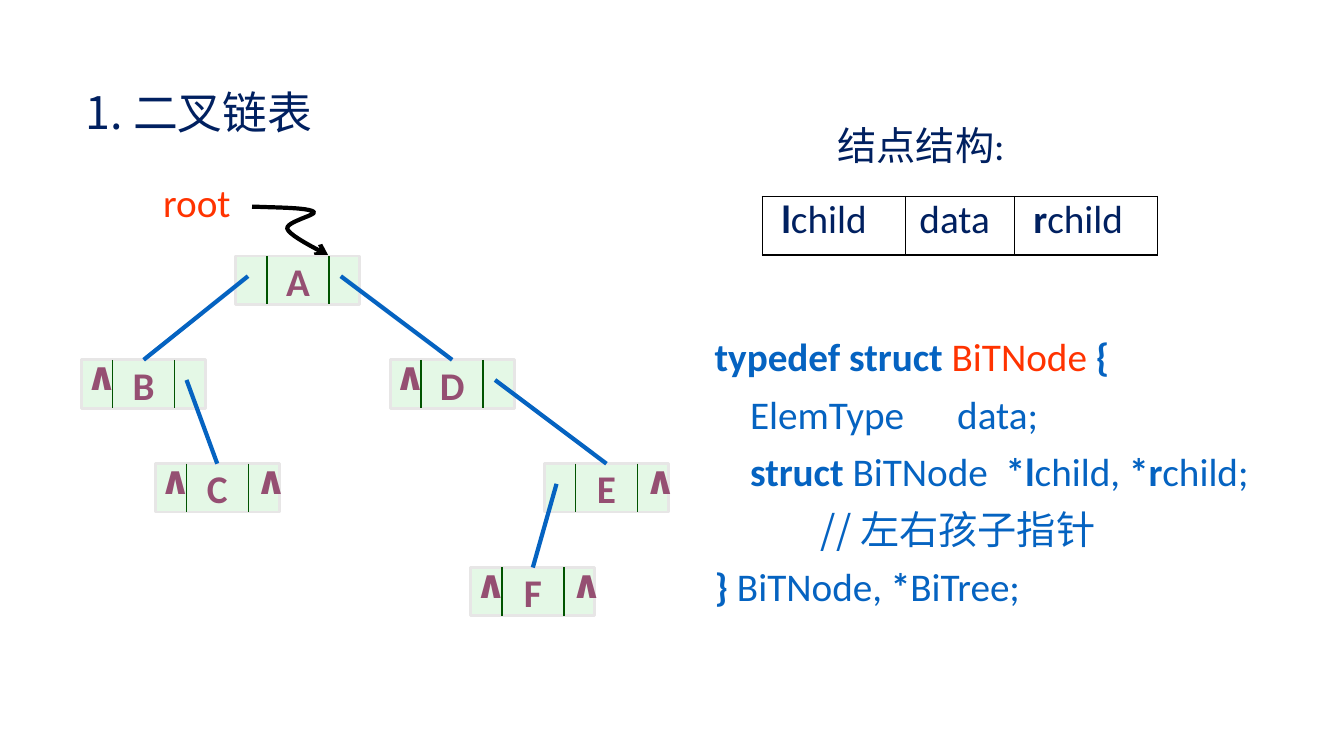
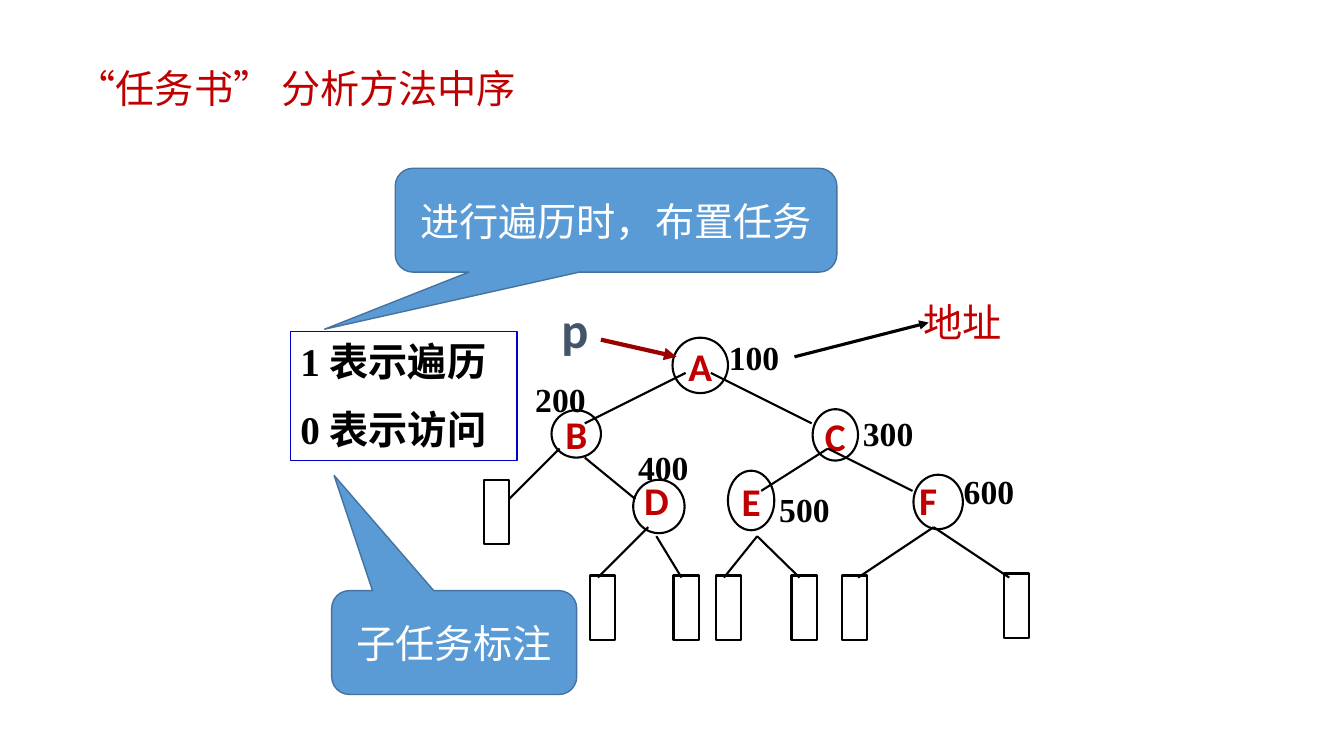
from pptx import Presentation
from pptx.dml.color import RGBColor
from pptx.enum.shapes import MSO_CONNECTOR, MSO_SHAPE
from pptx.enum.text import MSO_ANCHOR, MSO_AUTO_SIZE, PP_ALIGN
from pptx.oxml.ns import qn
from pptx.util import Inches, Pt
from lxml import etree

LEFT, MID = PP_ALIGN.LEFT, PP_ALIGN.CENTER
TOP, CENTER = MSO_ANCHOR.TOP, MSO_ANCHOR.MIDDLE
RECT, OVAL = MSO_SHAPE.RECTANGLE, MSO_SHAPE.OVAL
BUBBLE = MSO_SHAPE.ROUNDED_RECTANGULAR_CALLOUT
STRAIGHT = MSO_CONNECTOR.STRAIGHT

BLACK = RGBColor(0x00, 0x00, 0x00)
WHITE = RGBColor(0xFF, 0xFF, 0xFF)
NAVY = RGBColor(0x00, 0x20, 0x60)
BLUE = RGBColor(0x05, 0x63, 0xC1)
ORANGE = RGBColor(0xFF, 0x33, 0x00)
PLUM = RGBColor(0x95, 0x4F, 0x72)
MINT = RGBColor(0xCA, 0xF2, 0xCE)
GREY = RGBColor(0xE7, 0xE6, 0xE6)
GREEN = RGBColor(0x00, 0x54, 0x00)
RED = RGBColor(0xC0, 0x00, 0x00)
DARK_RED = RGBColor(0x99, 0x00, 0x00)
SLATE = RGBColor(0x44, 0x54, 0x6A)
SKY = RGBColor(0x5B, 0x9B, 0xD5)
STEEL = RGBColor(0x43, 0x73, 0x9E)
INDIGO = RGBColor(0x00, 0x00, 0xCC)

LATIN, HAN, SERIF = "Calibri", "Noto Sans CJK SC", "Times New Roman"
PAD = (0.1, 0.05, 0.1, 0.05)
NONE = (0, 0, 0, 0)
LEAD = 1.22  # line height as a share of the text size


# ---- Shared helpers ----
def write(frame, lines, color, size=28, name=LATIN, bold=False, align=LEFT,
          anchor=TOP, pad=PAD, lead=1, gap=0, wrap=True):
    """Each line is a string or a list of (text, overrides) runs."""
    sides = dict(zip(("left", "top", "right", "bottom"), pad))
    for side, val in sides.items():
        setattr(frame, "margin_" + side, Inches(val))
    look = {"word_wrap": wrap, "auto_size": MSO_AUTO_SIZE.NONE,
            "vertical_anchor": anchor}
    for key, val in look.items():
        setattr(frame, key, val)
    for i, line in enumerate(lines):
        para = frame.add_paragraph() if i else frame.paragraphs[0]
        form = {"alignment": align, "line_spacing": Pt(round(size * LEAD * lead, 1)),
                "space_before": Pt(gap if i else 0)}
        for key, val in form.items():
            setattr(para, key, val)
        for text, extra in [(line, {})] if isinstance(line, str) else line:
            run = para.add_run()
            run.text = text
            font = {"name": name, "size": Pt(size), "bold": bold, "color": color, **extra}
            run.font.color.rgb = font.pop("color")
            for key, val in font.items():
                setattr(run.font, key, val)
            etree.SubElement(run.font._element, qn("a:ea"), typeface=HAN)


def place(shape, box):
    for key, val in zip(("left", "top", "width", "height"), box):
        setattr(shape, key, Inches(val))


def title(slide, box, text, **form):
    head = slide.shapes.title
    place(head, box)
    write(head.text_frame, [text], name=HAN, **form)


def label(slide, box, lines, color, **form):
    area = slide.shapes.add_textbox(*map(Inches, box))
    write(area.text_frame, lines, color, **form)


def shape(slide, kind, box, line, width, fill=None):
    item = slide.shapes.add_shape(kind, *map(Inches, box))
    item.shadow.inherit = False
    item.line.color.rgb = line
    item.line.width = Pt(width)
    if fill is None:
        item.fill.background()
    else:
        item.fill.solid()
        item.fill.fore_color.rgb = fill
    return item


def arrow(item, kind):
    etree.SubElement(item.line._get_or_add_ln(), qn("a:tailEnd"), type=kind)


def link(slide, start, end, color, width, head=None):
    item = slide.shapes.add_connector(STRAIGHT, *map(Inches, start + end))
    item.line.color.rgb = color
    item.line.width = Pt(width)
    if head:
        arrow(item, head)
    etree.SubElement(item._element.spPr, qn("a:effectLst"))
    return item


# ---- Slide 1: linked nodes ----
NODE_W, NODE_H = 1.23, 0.48
NODES = {  # name: left, level, empty child pointers
    "A": (2.34, 0, ""), "D": (3.87, 1, "l"), "E": (5.4, 2, "r"),
    "B": (0.81, 1, "l"), "C": (1.54, 2, "lr"), "F": (4.67, 3, "lr")}
EDGES = [("A", "l", "B"), ("A", "r", "D"), ("B", "r", "C"),
         ("D", "r", "E"), ("E", "l", "F")]
PORT = {"l": 0.12, "r": 1.04}
MARK = {"l": 0.04, "r": 0.99}


def node(slide, x, y, name, empty):
    cell = shape(slide, RECT, (x, y, NODE_W, NODE_H), GREY, 2, MINT)
    tint = cell.fill._xPr.find(qn("a:solidFill"))[0]
    etree.SubElement(tint, qn("a:alpha"), val="50000")
    write(cell.text_frame, [name], PLUM, bold=True, align=MID,
          anchor=CENTER, wrap=False)
    for part in (0.25, 0.75):
        at = x + NODE_W * part
        link(slide, (at, y), (at, y + NODE_H), GREEN, 1)
    for side in empty:
        label(slide, (x + MARK[side], y - 0.09, 0.4, 0.48), ["∧"], PLUM,
              bold=True, pad=NONE)
    return cell


def list_tree(slide, top):
    spots = {name: (x, top + 1.03 * level) for name, (x, level, _) in NODES.items()}
    cells = {name: node(slide, *spots[name], name, NODES[name][2]) for name in NODES}
    for above, side, below in EDGES:
        x, y = spots[above]
        edge = link(slide, (x + PORT[side], y + 0.2), spots[below], BLUE, 3)
        edge.end_connect(cells[below], 0)


def root(slide, x, y):
    label(slide, (x, y, 1.1, 0.57), ["root"], ORANGE)
    # Curled pointer: cubic curves, offsets from the label corner
    bends = [(0.98, 0.34), (1.25, 0.35), (1.53, 0.35), (1.59, 0.39),
             (1.64, 0.42), (1.31, 0.49), (1.33, 0.56),
             (1.36, 0.64), (1.67, 0.78), (1.74, 0.83)]
    dots = []
    for i in range(0, 9, 3):
        for step in range(1, 13):
            t = step / 12
            mix = ((1 - t) ** 3, 3 * t * (1 - t) ** 2, 3 * t * t * (1 - t), t ** 3)
            dots.append(tuple(Inches(base + sum(m * p[k] for m, p in zip(mix, bends[i:i + 4])))
                              for k, base in enumerate((x, y))))
    pen = slide.shapes.build_freeform(Inches(x + bends[0][0]), Inches(y + bends[0][1]))
    pen.add_line_segments(dots, close=False)
    curl = pen.convert_to_shape()
    curl.shadow.inherit = False
    curl.fill.background()
    curl.line.color.rgb = BLACK
    curl.line.width = Pt(3)
    arrow(curl, "arrow")


def fields(slide, x, y):
    label(slide, (x + 0.65, y - 0.8, 2.4, 0.57), ["结点结构:"], NAVY)
    frame = slide.shapes.add_table(1, 3, *map(Inches, (x, y, 3.92, 0.58)))
    grid = frame.table
    grid.first_row = grid.horz_banding = False
    bold = {"bold": True}
    cols = [(1.42, 0.19, [("l", bold), ("child", {})]), (1.08, 0.14, "data"),
            (1.42, 0.19, [("r", bold), ("child", {})])]
    for i, (wide, inset, text) in enumerate(cols):
        grid.columns[i].width = Inches(wide)
        cell = grid.cell(0, i)
        write(cell.text_frame, [text], NAVY)
        for key, val in {"left": inset, "top": 0, "right": 0, "bottom": 0}.items():
            setattr(cell, "margin_" + key, Inches(val))
        props = cell._tc.get_or_add_tcPr()
        for edge in ("a:lnL", "a:lnR", "a:lnT", "a:lnB"):
            line = etree.SubElement(props, qn(edge), w=str(Pt(1)))
            paint = etree.SubElement(line, qn("a:solidFill"))
            etree.SubElement(paint, qn("a:srgbClr"), val=str(BLACK))
        cell.fill.background()


def code(slide, box):
    bold = {"bold": True}
    label(slide, box, [
        [("typedef struct ", bold), ("BiTNode ", {"color": ORANGE}), ("{", bold)],
        "    ElemType      data;",
        [("    ", {}), ("struct ", bold), ("BiTNode  ", {}), ("*l", bold),
         ("child, ", {}), ("*r", bold), ("child;", {})],
        [("            ", {}), ("// 左右孩子指针", {"name": HAN})],
        [("} ", bold), ("BiTNode, ", {}), ("*", bold), ("BiTree;", {})],
    ], BLUE, lead=1.2)


def list_slide(slide):
    title(slide, (0.75, 0.67, 2.67, 0.66), "1. 二叉链表", color=NAVY, size=32, lead=1.2)
    root(slide, 1.52, 1.71)
    list_tree(slide, 2.54)
    fields(slide, 7.56, 1.95)
    code(slide, (6.99, 3.15, 5.9, 2.93))


# ---- Slide 2: in-order walk ----
RINGS = [  # name, box, text insets
    ("A", (6.67, 3.35, 0.55, 0.55), NONE), ("B", (5.47, 4.07, 0.49, 0.47), NONE),
    ("C", (8.06, 4.06, 0.45, 0.51), NONE), ("D", (6.28, 4.76, 0.51, 0.53), (0, 0, 0.05, 0.13)),
    ("E", (7.22, 4.67, 0.46, 0.59), NONE), ("F", (9.06, 4.71, 0.49, 0.54), (0, 0, 0.2, 0.04))]
LEAVES = [(4.8, 4.76), (5.85, 5.71), (6.68, 5.71), (7.1, 5.71),
          (7.85, 5.71), (8.35, 5.71), (9.96, 5.69)]
TWIGS = [
    ((6.8, 3.7), (5.8, 4.2)), ((7.05, 3.7), (8.05, 4.2)),
    ((5.55, 4.45), (5.05, 4.95)), ((5.8, 4.54), (6.3, 4.95)),
    ((8.21, 4.45), (7.55, 4.87)), ((8.21, 4.45), (9.05, 4.87)),
    ((6.43, 5.23), (5.93, 5.73)), ((6.51, 5.32), (6.76, 5.73)),
    ((7.51, 5.32), (7.18, 5.73)), ((7.51, 5.32), (7.93, 5.73)),
    ((9.26, 5.23), (8.51, 5.73)), ((9.26, 5.23), (10.01, 5.73))]
TAGS = [(7.13, 3.29), (5.21, 3.7), (8.46, 4.04), (6.23, 4.38), (7.63, 4.79), (9.46, 4.62)]


def walk_tree(slide, x, y):
    """Tree data is measured from the slide corner; x and y shift it."""
    def move(spot):
        return (spot[0] + x, spot[1] + y)

    for name, box, pad in RINGS:
        ring = shape(slide, OVAL, move(box) + box[2:], BLACK, 1.5)
        write(ring.text_frame, [name], RED, bold=True, align=MID,
              anchor=CENTER, pad=pad, wrap=False)
    for spot in LEAVES:
        shape(slide, RECT, move(spot) + (0.25, 0.64), BLACK, 1.5)
    for start, end in TWIGS:
        link(slide, move(start), move(end), BLACK, 1.5)
    for i, spot in enumerate(TAGS, 1):
        label(slide, move(spot) + (0.75, 0.5), [str(i * 100)], BLACK,
              size=24, name=SERIF, bold=True)
    # Pointer and address
    label(slide, move((5.47, 2.9)) + (0.58, 0.7), ["p"], SLATE, size=36, bold=True)
    link(slide, move((5.96, 3.37)), move((6.71, 3.54)), DARK_RED, 3, "triangle")
    label(slide, move((9.06, 2.9)) + (1.25, 0.57), ["地址"], RED)
    link(slide, move((7.88, 3.54)), move((9.21, 3.2)), BLACK, 2.25, "triangle")


def bubble(slide, box, text, tip, name=LATIN):
    item = shape(slide, BUBBLE, box, STEEL, 1, SKY)
    for i, val in enumerate(tip + (0.17,)):
        item.adjustments[i] = val
    write(item.text_frame, [text], WHITE, name=name, align=MID, anchor=CENTER)


def legend(slide, box):
    item = shape(slide, RECT, box, INDIGO, 1)
    write(item.text_frame, ["1 表示遍历", "0 表示访问"], BLACK,
          name=SERIF, bold=True, gap=14)


def walk_slide(slide):
    title(slide, (0.48, 0.58, 4.92, 0.57), "“任务书” 分析方法中序", color=RED, align=MID)
    walk_tree(slide, 0, 0)
    legend(slide, (2.88, 3.29, 2.25, 1.28))
    bubble(slide, (3.29, 5.86, 2.43, 1.03), "子任务标注", (-0.49, -1.61))
    bubble(slide, (3.92, 1.67, 4.38, 1.03), "进行遍历时，布置任务", (-0.66, 1.05), HAN)


def main():
    deck = Presentation()
    deck.slide_width, deck.slide_height = Inches(13.33), Inches(7.5)
    for build in (list_slide, walk_slide):
        build(deck.slides.add_slide(deck.slide_layouts[5]))
    deck.save("out.pptx")


if __name__ == "__main__":
    main()
